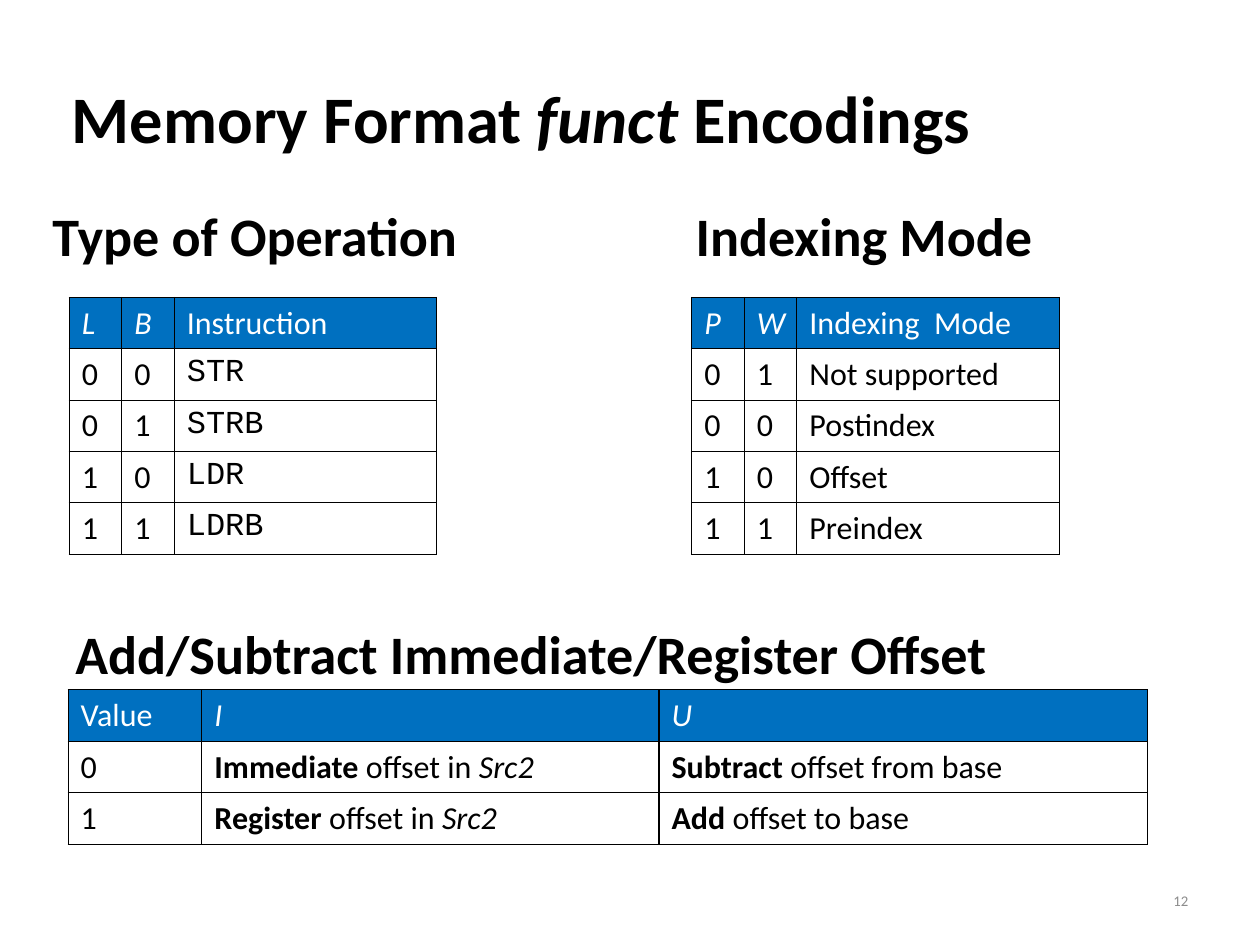
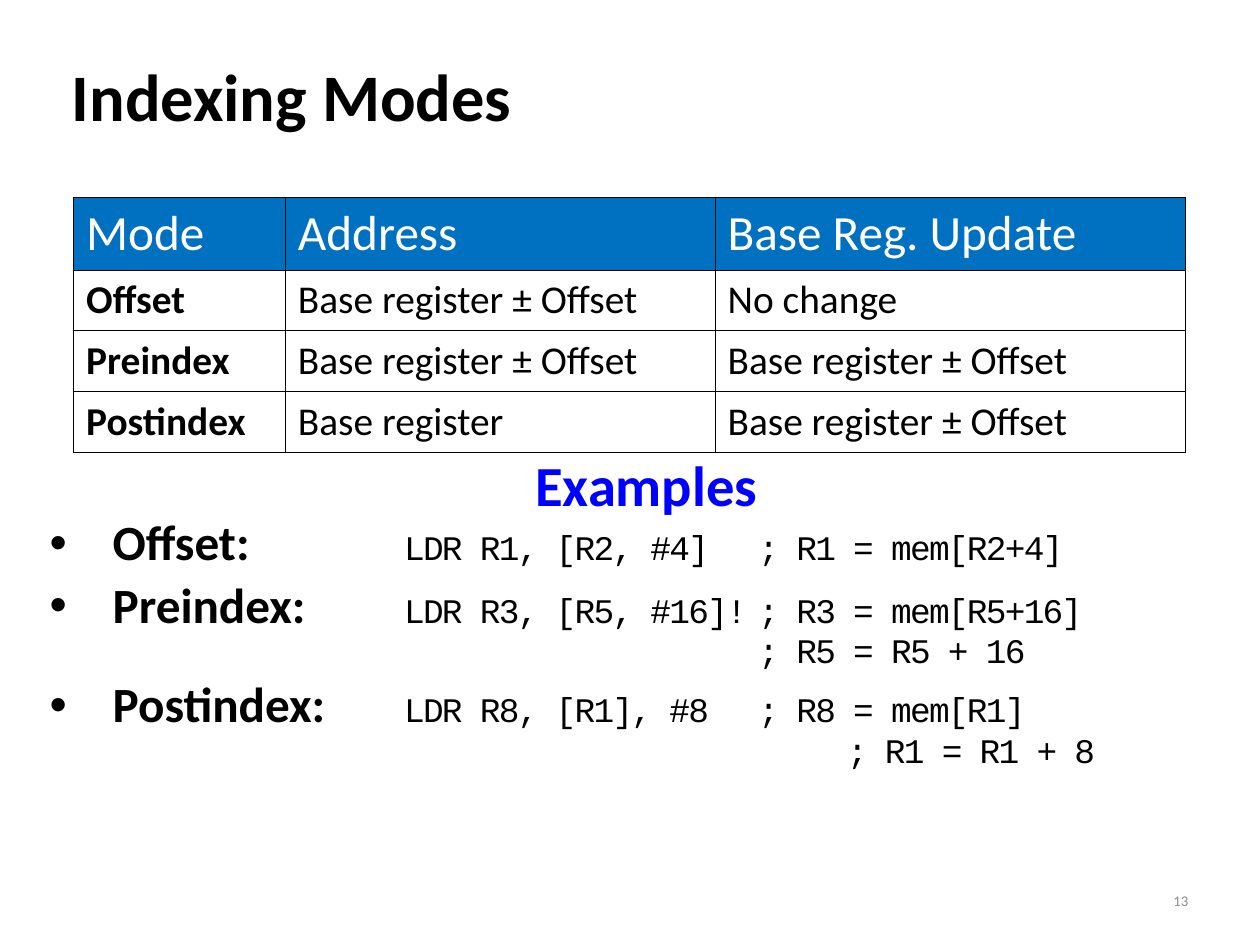
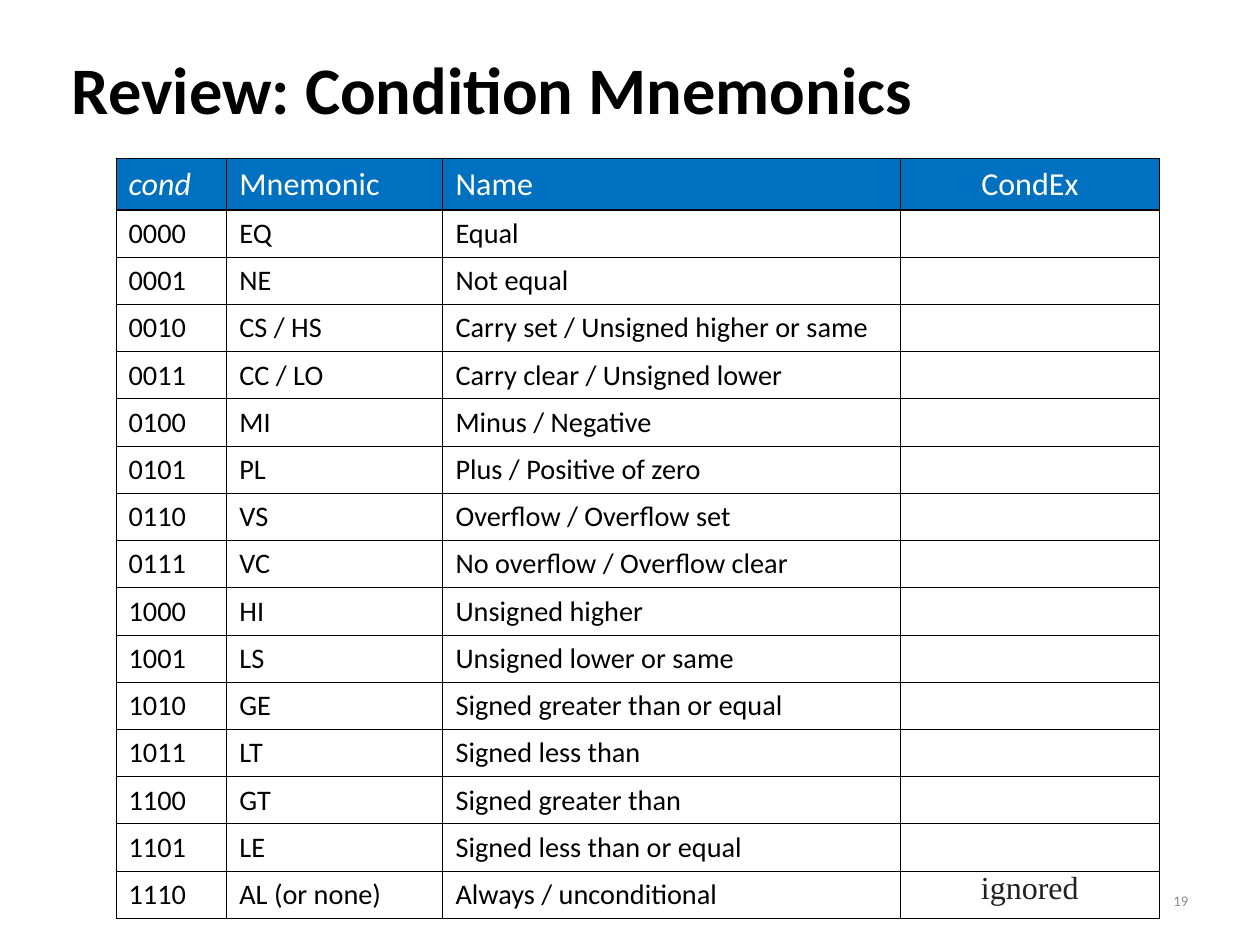
"""Build three lecture slides on memory instruction encodings, indexing modes and conditions."""
from lxml import etree
from pptx import Presentation
from pptx import util as u
from pptx.dml.color import RGBColor
from pptx.enum import text as t
from pptx.oxml.ns import qn

COLORS = {"ink": "000000", "paper": "FFFFFF", "header": "0070C0",
          "accent": "0000FF", "page": "8C8C8C", "note": "231F20"}
SANS, MONO, SERIF = "Calibri", "Courier New", "Times New Roman"
INSETS = (10.24, 5.12)
TITLE_LEFT, TITLE_WIDTH, TITLE_HEIGHT = 51.2, 921.6, 128
PAGE_BOX = (733.9, 711.8, 238.9, 40.9)
ITALIC, BOLD, CODE = {"italic": True}, {"bold": True}, {"font": MONO}

NARROW_COLUMNS = (42.7, 42.7, 213.4)
OPERATION_ROWS = [
    ([("L", ITALIC)], [("B", ITALIC)], "Instruction"),
    ("0", "0", [("STR", CODE)]),
    ("0", "1", [("STRB", CODE)]),
    ("1", "0", [("LDR", CODE)]),
    ("1", "1", [("LDRB", CODE)]),
]
INDEXING_ROWS = [
    ([("P", ITALIC)], [("W", ITALIC)], "Indexing  Mode"),
    ("0", "1", "Not supported"),
    ("0", "0", "Postindex"),
    ("1", "0", "Offset"),
    ("1", "1", "Preindex"),
]
OFFSET_ROWS = [
    ("Value", [("I", ITALIC)], [("U", ITALIC)]),
    ("0", [("Immediate", BOLD), (" offset in ", {}), ("Src2", ITALIC)],
     [("Subtract", BOLD), (" offset from base", {})]),
    ("1", [("Register", BOLD), (" offset in ", {}), ("Src2", ITALIC)],
     [("Add", BOLD), (" offset to base", {})]),
]
HEADINGS = [
    ("Type of Operation", (32.4, 165.6, 355.7, 59)),
    ("Indexing Mode", (555.1, 165.6, 298.1, 59)),
    ("Add/Subtract Immediate/Register Offset", (51.1, 504.7, 774.7, 59)),
]
MODE_ROWS = [
    ("Mode", "Address", "Base Reg. Update"),
    ([("Offset", BOLD)], "Base register ± Offset", "No change"),
    ([("Preindex", BOLD)], "Base register ± Offset", "Base register ± Offset"),
    ([("Postindex", BOLD)], "Base register", "Base register ± Offset"),
]
EXAMPLES = [
    ("Offset:", "\t\t", "LDR R1, [R2, #4] \t; R1 = mem[R2+4]", None),
    ("Preindex:", "\t\t", "LDR R3, [R5, #16]!\t; R3 = mem[R5+16]", ("; R5 = R5 + 16", 576)),
    ("Postindex:", "\t", "LDR R8, [R1], #8 \t; R8 = mem[R1]", ("; R1 = R1 + 8", 648)),
]
CONDITIONS = [
    ("EQ", "Equal"),
    ("NE", "Not equal"),
    ("CS / HS", "Carry set / Unsigned higher or same"),
    ("CC / LO", "Carry clear / Unsigned lower"),
    ("MI", "Minus / Negative"),
    ("PL", "Plus / Positive of zero"),
    ("VS", "Overflow / Overflow set"),
    ("VC", "No overflow / Overflow clear"),
    ("HI", "Unsigned higher"),
    ("LS", "Unsigned lower or same"),
    ("GE", "Signed greater than or equal"),
    ("LT", "Signed less than"),
    ("GT", "Signed greater than"),
    ("LE", "Signed less than or equal"),
    ("AL (or none)", "Always / unconditional"),
]
CONDITION_ROWS = [([("cond", ITALIC)], "Mnemonic", "Name", "CondEx")] + [
    (f"{code:04b}", mnemonic, name, "") for code, (mnemonic, name) in enumerate(CONDITIONS)]


def write(paragraph, content, align=t.PP_ALIGN.LEFT, line=None, before=0, **base):
    """Write a string, or (text, format) runs, into a paragraph."""
    paragraph.alignment = align
    paragraph.space_before = u.Pt(before)
    if line:
        paragraph.line_spacing = line
    for text, extra in [(content, {})] if isinstance(content, str) else content:
        style = {"size": 26, "font": SANS, "color": "ink", **base, **extra}
        run = paragraph.add_run()
        run.text = text
        run.font.name = style["font"]
        run.font.size = u.Pt(style["size"])
        run.font.bold = style.get("bold", False)
        run.font.italic = style.get("italic", False)
        run.font.color.rgb = RGBColor.from_string(COLORS[style["color"]])
        if "spacing" in style:
            run.font._element.set("spc", str(round(style["spacing"] * 100)))


def place(shape, left, top, width, height):
    """Set the box of a shape in points."""
    shape.left, shape.top, shape.width, shape.height = map(u.Pt, (left, top, width, height))


def set_insets(target, across, down):
    """Set the inner margins of a cell or text frame."""
    target.margin_left = target.margin_right = u.Pt(across)
    target.margin_top = target.margin_bottom = u.Pt(down)


def add_text(slide, content, box, insets=INSETS, anchor=t.MSO_ANCHOR.TOP, wrap=True, **style):
    """Add a text box with one paragraph."""
    frame = slide.shapes.add_textbox(*map(u.Pt, box)).text_frame
    frame.word_wrap = wrap
    frame.vertical_anchor = anchor
    set_insets(frame, *insets)
    write(frame.paragraphs[0], content, **style)


def add_slide(presentation, layout, title, title_top, page):
    """Add a slide with its title and page number."""
    slide = presentation.slides.add_slide(presentation.slide_layouts[layout])
    place(slide.shapes.title, TITLE_LEFT, title_top, TITLE_WIDTH, TITLE_HEIGHT)
    frame = slide.shapes.title.text_frame
    frame.auto_size = t.MSO_AUTO_SIZE.NONE
    frame.vertical_anchor = t.MSO_ANCHOR.MIDDLE
    write(frame.paragraphs[0], title, size=54, bold=True)
    add_text(slide, str(page), PAGE_BOX, insets=(7.2, 3.6), anchor=t.MSO_ANCHOR.MIDDLE,
             align=t.PP_ALIGN.RIGHT, size=12, color="page")
    return slide


def add_borders(cell):
    """Draw a thin black line on each side of a cell."""
    properties = cell._tc.get_or_add_tcPr()
    for side in ("lnL", "lnR", "lnT", "lnB"):
        line = etree.SubElement(properties, qn(f"a:{side}"), w=str(u.Pt(1)))
        fill = etree.SubElement(line, qn("a:solidFill"))
        etree.SubElement(fill, qn("a:srgbClr"), val=COLORS["ink"])


def add_grid(slide, rows, left, top, widths, heights=(41.8, 41.8), sizes=(26, 26)):
    """Add a table; heights and sizes are given for the header and the body."""
    total = heights[0] + heights[1] * (len(rows) - 1)
    box = map(u.Pt, (left, top, sum(widths), total))
    table = slide.shapes.add_table(len(rows), len(widths), *box).table
    for column, width in zip(table.columns, widths):
        column.width = u.Pt(width)
    for index, values in enumerate(rows):
        body = min(index, 1)
        table.rows[index].height = u.Pt(heights[body])
        for cell, content in zip(table.rows[index].cells, values):
            set_insets(cell, *INSETS)
            add_borders(cell)
            cell.fill.solid()
            cell.fill.fore_color.rgb = RGBColor.from_string(COLORS["paper" if body else "header"])
            if content:
                write(cell.text_frame.paragraphs[0], content, size=sizes[body],
                      color="ink" if body else "paper")
    return table


def set_list_format(paragraph, left=0, hanging=0, bullet=None):
    """Set indents, one-inch default tabs and the bullet of a list paragraph."""
    properties = paragraph._p.get_or_add_pPr()
    for name, value in (("marL", left), ("indent", -hanging), ("defTabSz", 72)):
        properties.set(name, str(u.Pt(value)))
    if bullet:
        etree.SubElement(properties, qn("a:buChar"), char=bullet)
    else:
        etree.SubElement(properties, qn("a:buNone"))


def fill_examples(body):
    """Write the heading and the bulleted code examples."""
    place(body, 30.2, 366.5, 990, 188)
    frame = body.text_frame
    frame.auto_size = t.MSO_AUTO_SIZE.NONE
    set_insets(frame, *INSETS)
    heading = frame.paragraphs[0]
    set_list_format(heading)
    write(heading, "Examples", align=t.PP_ALIGN.CENTER, line=0.9, size=46, bold=True,
          color="accent")
    code_style = {"size": 28, "font": MONO, "spacing": -1.4}
    for index, (label, tabs, code, continuation) in enumerate(EXAMPLES):
        paragraph = frame.add_paragraph()
        set_list_format(paragraph, 51.2, 51.2, "•")
        runs = [(label, {"size": 40, "bold": True}), (tabs, {"size": 28}), (code, code_style)]
        write(paragraph, runs, line=0.9, before=7.5 if index else 0)
        if continuation:
            text, left = continuation
            paragraph = frame.add_paragraph()
            set_list_format(paragraph, left)
            write(paragraph, text, line=0.9, **code_style)


def main():
    """Build and save the presentation."""
    presentation = Presentation()
    presentation.slide_width, presentation.slide_height = u.Pt(1024), u.Pt(768)

    title = [("Memory Format ", {}), ("funct ", ITALIC), ("Encodings", {})]
    slide = add_slide(presentation, 5, title, 31, 12)
    for text, box in HEADINGS:
        add_text(slide, text, box, wrap=False, line=0.9, size=44, bold=True)
    add_grid(slide, OPERATION_ROWS, 56.2, 241.6, NARROW_COLUMNS)
    add_grid(slide, INDEXING_ROWS, 562.2, 241.6, NARROW_COLUMNS)
    add_grid(slide, OFFSET_ROWS, 55.4, 560.6, (108.7, 371.5, 397.4))

    slide = add_slide(presentation, 1, "Indexing Modes", 13, 13)
    add_grid(slide, MODE_ROWS, 59.8, 160.4, (172.1, 349.2, 382.3), (59.2, 49.4), (40, 32))
    fill_examples(slide.placeholders[1])

    slide = add_slide(presentation, 5, "Review: Condition Mnemonics", 7.2, 19)
    table = add_grid(slide, CONDITION_ROWS, 94.3, 128.9, (90, 175.7, 371.5, 211),
                     (41.8, 38.4), (26, 23))
    for cell in table.rows[0].cells:
        cell.vertical_anchor = t.MSO_ANCHOR.BOTTOM
    table.cell(0, 3).text_frame.paragraphs[0].alignment = t.PP_ALIGN.CENTER
    ignored = table.cell(len(CONDITIONS), 3)
    set_insets(ignored, 8, 0)
    write(ignored.text_frame.paragraphs[0], "ignored", align=t.PP_ALIGN.CENTER,
          font=SERIF, color="note")

    presentation.save("out.pptx")


if __name__ == "__main__":
    main()
